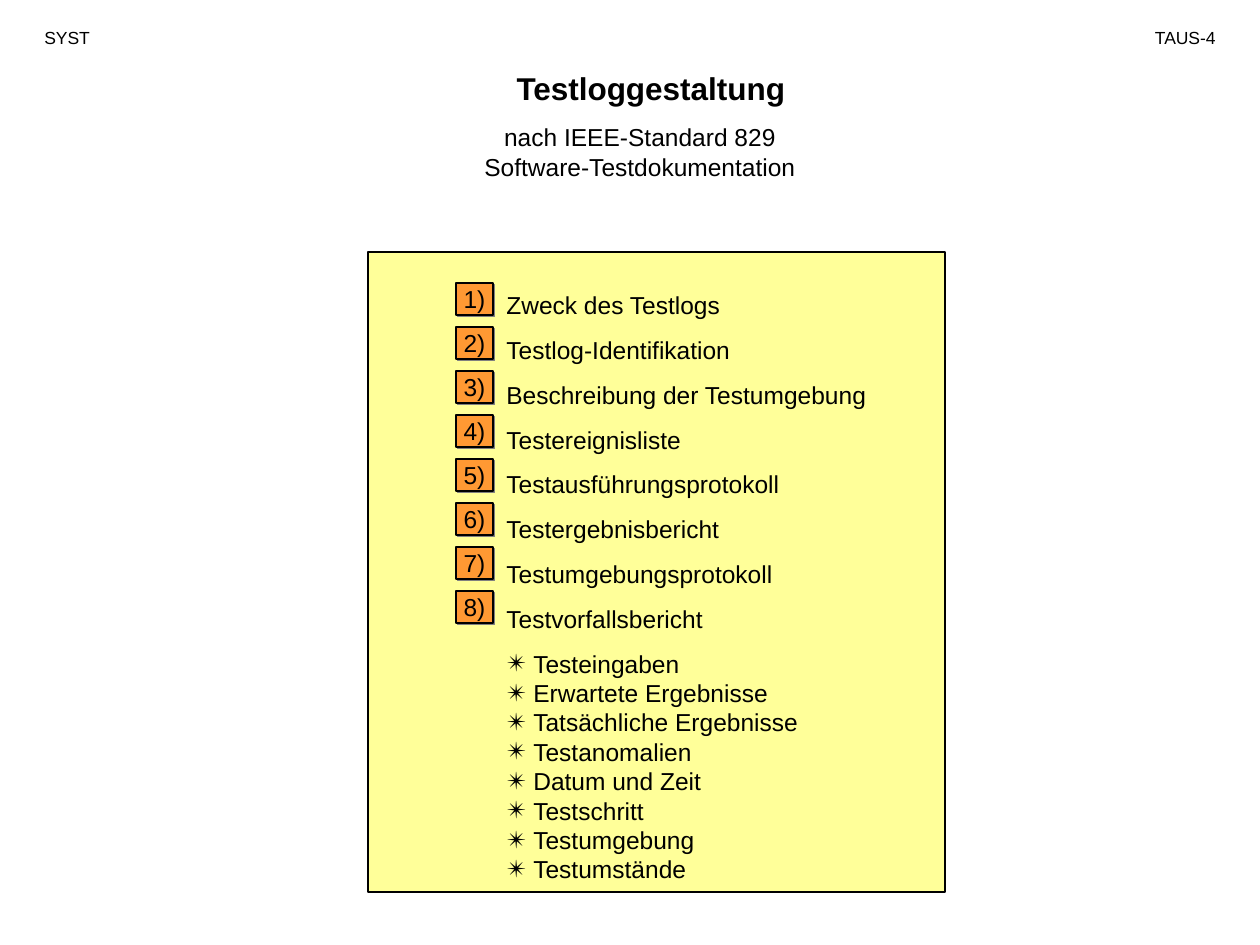
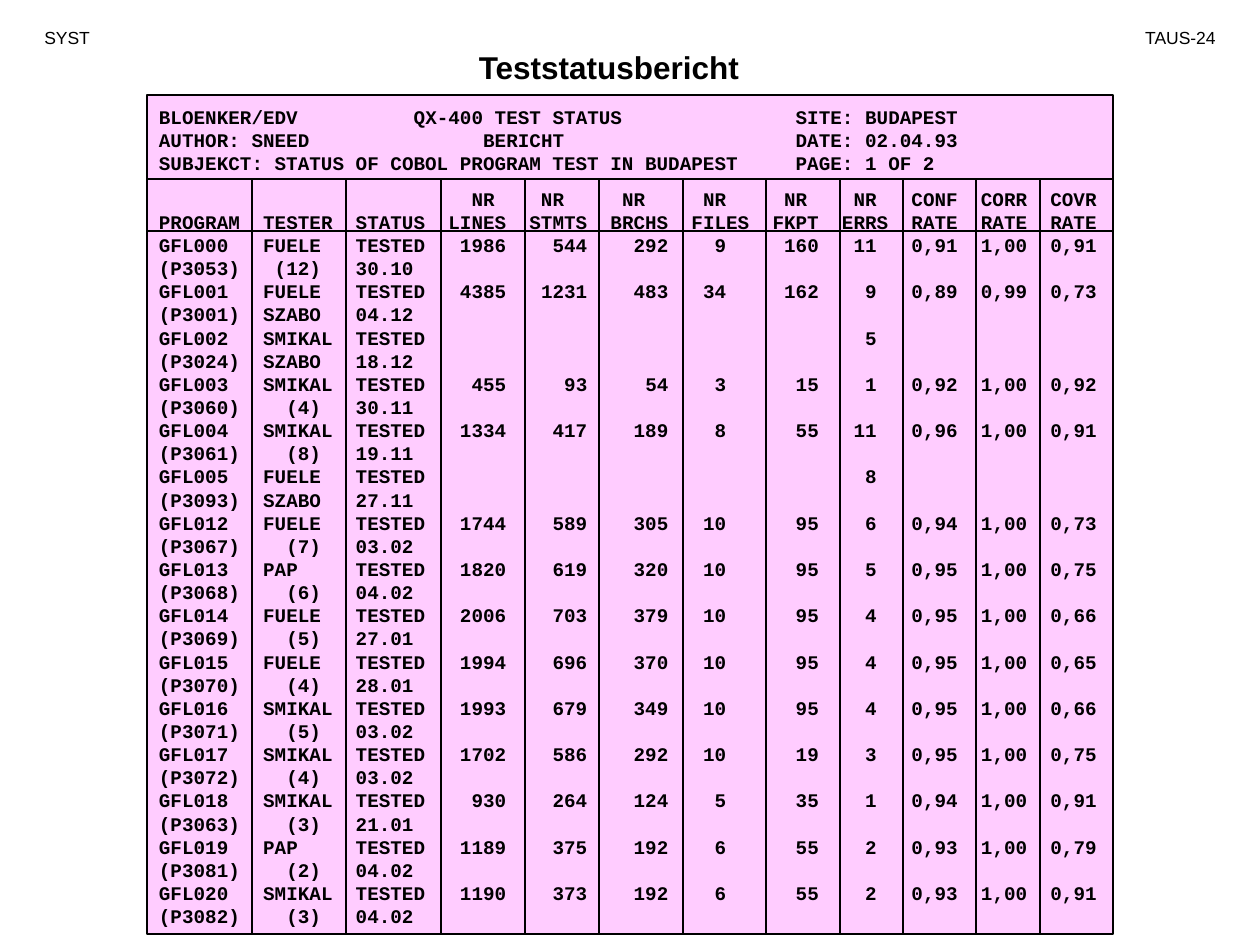
import pptx
import pptx.dml.color
import pptx.enum.shapes
import pptx.enum.text
import pptx.oxml
import pptx.oxml.ns
import pptx.util
from lxml import etree

PX = 914400 / 126
COLORS = {
    "ink": "000000",
    "contents": "FFFF99",
    "badge": "FF9933",
    "badge_shadow": "808080",
    "report": "FFCCFF",
}
SANS, MONO = "Arial", "Courier New"
MONO_SIZE = 11
CHAR = 11.58  # advance of one report character, in px
LEADING = 1.2
RULE_WIDTH = 0.75
NO_GRID_STYLE = "{2D5ABB26-0587-4C30-8999-92F81FD0307C}"
ALIGN = pptx.enum.text.PP_ALIGN

CONTENTS = [
    "Zweck des Testlogs", "Testlog-Identifikation", "Beschreibung der Testumgebung",
    "Testereignisliste", "Testausführungsprotokoll", "Testergebnisbericht",
    "Testumgebungsprotokoll", "Testvorfallsbericht",
]
INCIDENT_PARTS = [
    "Testeingaben", "Erwartete Ergebnisse", "Tatsächliche Ergebnisse", "Testanomalien",
    "Datum und Zeit", "Testschritt", "Testumgebung", "Testumstände",
]

# Banner: left text, character column of the middle text, middle text
BANNER_LEFT = [
    ("BLOENKER/EDV", 22, "QX-400 TEST STATUS"),
    ("AUTHOR: SNEED", 28, "BERICHT"),
    ("SUBJEKCT: STATUS OF COBOL PROGRAM TEST IN BUDAPEST", 0, ""),
]
BANNER_RIGHT = ["SITE: BUDAPEST", "DATE: 02.04.93", "PAGE: 1 OF 2"]
BANNER_SPLIT, BANNER_RIGHT_CHAR = 7, 55

# Left rule in px, upper heading, its indent, lower heading,
# first character of the heading, last character of the figures
COLUMNS = [
    (147, "", 0, "PROGRAM", 0, None),
    (252, "", 0, "TESTER", 9, None),
    (346, "", 0, "STATUS", 17, None),
    (441, "NR", 2, "LINES", 25, 30),
    (525, "NR", 1, "STMTS", 32, 37),
    (599, "NR", 1, "BRCHS", 39, 44),
    (683, "NR", 1, "FILES", 46, 49),
    (766, "NR", 1, "FKPT", 53, 57),
    (840, "NR", 1, "ERRS", 59, 62),
    (903, "CONF", 0, "RATE", 65, 69),
    (976, "CORR", 0, "RATE", 71, 75),
    (1040, "COVR", 0, "RATE", 77, 81),
]
FIRST_FIGURE, ERRS = 3, 8
# Program, number, tester, second tester or count, date, figures (or errors only)
RECORDS = [
    "GFL000 (P3053) FUELE (12) 30.10 1986 544 292 9 160 11 0,91 1,00 0,91",
    "GFL001 (P3001) FUELE SZABO 04.12 4385 1231 483 34 162 9 0,89 0,99 0,73",
    "GFL002 (P3024) SMIKAL SZABO 18.12 5",
    "GFL003 (P3060) SMIKAL (4) 30.11 455 93 54 3 15 1 0,92 1,00 0,92",
    "GFL004 (P3061) SMIKAL (8) 19.11 1334 417 189 8 55 11 0,96 1,00 0,91",
    "GFL005 (P3093) FUELE SZABO 27.11 8",
    "GFL012 (P3067) FUELE (7) 03.02 1744 589 305 10 95 6 0,94 1,00 0,73",
    "GFL013 (P3068) PAP (6) 04.02 1820 619 320 10 95 5 0,95 1,00 0,75",
    "GFL014 (P3069) FUELE (5) 27.01 2006 703 379 10 95 4 0,95 1,00 0,66",
    "GFL015 (P3070) FUELE (4) 28.01 1994 696 370 10 95 4 0,95 1,00 0,65",
    "GFL016 (P3071) SMIKAL (5) 03.02 1993 679 349 10 95 4 0,95 1,00 0,66",
    "GFL017 (P3072) SMIKAL (4) 03.02 1702 586 292 10 19 3 0,95 1,00 0,75",
    "GFL018 (P3063) SMIKAL (3) 21.01 930 264 124 5 35 1 0,94 1,00 0,91",
    "GFL019 (P3081) PAP (2) 04.02 1189 375 192 6 55 2 0,93 1,00 0,79",
    "GFL020 (P3082) SMIKAL (3) 04.02 1190 373 192 6 55 2 0,93 1,00 0,91",
]


def px(*lengths):
    emus = [pptx.util.Emu(round(length * PX)) for length in lengths]
    return emus if len(emus) > 1 else emus[0]


def rgb(name):
    return pptx.dml.color.RGBColor.from_string(COLORS[name])


# Text helpers
def write(paragraph, text, size, font=SANS, bold=False, align=ALIGN.LEFT, before=0):
    paragraph.alignment = align
    paragraph.line_spacing = pptx.util.Pt(round(size * LEADING, 2))
    paragraph.space_before = pptx.util.Pt(before)
    run = paragraph.add_run()
    run.text = text
    run.font.size = pptx.util.Pt(size)
    run.font.name = font
    run.font.bold = bold
    run.font.color.rgb = rgb("ink")


def next_paragraph(frame, index):
    return frame.paragraphs[0] if index == 0 else frame.add_paragraph()


def add_text(slide, box, lines, size, align=ALIGN.LEFT, before=0):
    frame = slide.shapes.add_textbox(*px(*box)).text_frame
    frame.word_wrap = True
    for i, line in enumerate(lines):
        write(next_paragraph(frame, i), line, size, align=align, before=before if i else 0)
    return frame


def add_tab(paragraph, position):
    tabs = etree.SubElement(paragraph._p.get_or_add_pPr(), pptx.oxml.ns.qn("a:tabLst"))
    etree.SubElement(tabs, pptx.oxml.ns.qn("a:tab"), pos=str(px(position)), algn="l")


def indent(paragraph, left, first=0):
    properties = paragraph._p.get_or_add_pPr()
    properties.set("marL", str(px(left)))
    properties.set("indent", str(px(first)))
    return properties


# Shape helpers
def add_panel(slide, box, color):
    panel = slide.shapes.add_shape(pptx.enum.shapes.MSO_SHAPE.RECTANGLE, *px(*box))
    panel.shadow.inherit = False
    panel.fill.solid()
    panel.fill.fore_color.rgb = rgb(color)
    panel.line.color.rgb = rgb("ink")
    panel.line.width = pptx.util.Pt(RULE_WIDTH)
    return panel


def add_rule(slide, x1, y1, x2, y2):
    rule = slide.shapes.add_connector(pptx.enum.shapes.MSO_CONNECTOR.STRAIGHT, *px(x1, y1, x2, y2))
    rule.line.color.rgb = rgb("ink")
    rule.line.width = pptx.util.Pt(RULE_WIDTH)
    etree.SubElement(rule._element.spPr, pptx.oxml.ns.qn("a:effectLst"))


def add_page(deck, title, title_box, page_code):
    slide = deck.slides.add_slide(deck.slide_layouts[5])
    heading = slide.shapes.title
    heading.left, heading.top, heading.width, heading.height = px(*title_box)
    frame = heading.text_frame
    frame.vertical_anchor = pptx.enum.text.MSO_ANCHOR.TOP
    frame.auto_size = pptx.enum.text.MSO_AUTO_SIZE.NONE
    write(frame.paragraphs[0], title, 18, bold=True, align=ALIGN.CENTER)
    add_text(slide, (32, 21, 116, 34), ["SYST"], 10)
    add_text(slide, (1092, 21, 136, 34), [page_code], 10, ALIGN.RIGHT)
    return slide


# Test log contents
def add_badge(slide, box, label):
    badge = add_panel(slide, box, "badge")
    effects = badge._element.spPr.find(pptx.oxml.ns.qn("a:effectLst"))
    shadow = etree.SubElement(effects, pptx.oxml.ns.qn("a:outerShdw"), dist="17780",
                              dir="2700000", algn="tl", rotWithShape="0")
    etree.SubElement(shadow, pptx.oxml.ns.qn("a:srgbClr"), val=COLORS["badge_shadow"])
    frame = badge.text_frame
    frame.word_wrap = False
    frame.vertical_anchor = pptx.enum.text.MSO_ANCHOR.MIDDLE
    write(frame.paragraphs[0], label, 14, align=ALIGN.CENTER)


def add_contents(slide, box):
    left, top, _, _ = box
    add_panel(slide, box, "contents")
    frame = add_text(slide, (left + 126, top + 32, 451, 606), CONTENTS, 14, before=8.8)
    for i, part in enumerate(INCIDENT_PARTS):
        paragraph = frame.add_paragraph()
        properties = indent(paragraph, 27, -27)
        etree.SubElement(properties, pptx.oxml.ns.qn("a:buFont"), typeface=SANS)
        etree.SubElement(properties, pptx.oxml.ns.qn("a:buChar"), char="✴")
        write(paragraph, part, 14, before=0 if i else 8.8)
    for i in range(len(CONTENTS)):
        add_badge(slide, (left + 88, top + 31 + 44 * i, 37, 32), f"{i + 1})")


# Test status report
def char_x(index):
    return 12 + CHAR * index


def fill_banner(table, starts):
    left = table.cell(0, 0)
    left.merge(table.cell(0, BANNER_SPLIT - 1))
    left.margin_left = px(char_x(0))
    for i, (text, middle_char, middle) in enumerate(BANNER_LEFT):
        paragraph = next_paragraph(left.text_frame, i)
        if middle:
            add_tab(paragraph, CHAR * middle_char)
            text += "\t" + middle
        write(paragraph, text, MONO_SIZE, MONO, True)
    right = table.cell(0, BANNER_SPLIT)
    right.merge(table.cell(0, len(COLUMNS) - 1))
    right.margin_left = px(char_x(BANNER_RIGHT_CHAR) - starts[BANNER_SPLIT])
    for i, text in enumerate(BANNER_RIGHT):
        write(next_paragraph(right.text_frame, i), text, MONO_SIZE, MONO, True)


def fill_headings(table, starts):
    for c, (_, upper, upper_indent, lower, first_char, _) in enumerate(COLUMNS):
        cell = table.cell(1, c)
        cell.margin_left = px(char_x(first_char) - starts[c])
        cell.vertical_anchor = pptx.enum.text.MSO_ANCHOR.BOTTOM
        for i, text in enumerate(filter(None, (upper, lower))):
            paragraph = next_paragraph(cell.text_frame, i)
            if text == upper:
                indent(paragraph, CHAR * upper_indent)
            write(paragraph, text, MONO_SIZE, MONO, True)


def fill_record(table, row, record, starts):
    program, number, tester, second, date, *figures = record.split()
    for c, lines in enumerate([(program, number), (tester, second), ("TESTED", date)]):
        cell = table.cell(row, c)
        cell.margin_left = px(char_x(COLUMNS[c][4]) - starts[c])
        for i, text in enumerate(lines):
            paragraph = next_paragraph(cell.text_frame, i)
            if c == 1 and text.startswith("("):
                indent(paragraph, CHAR * (5 - len(text)))
            write(paragraph, text, MONO_SIZE, MONO, True)
    first = ERRS if len(figures) == 1 else FIRST_FIGURE
    for c, figure in enumerate(figures, first):
        cell = table.cell(row, c)
        cell.margin_right = px(starts[c + 1] - char_x(COLUMNS[c][5]))
        write(cell.text_frame.paragraphs[0], figure, MONO_SIZE, MONO, True, ALIGN.RIGHT)


def add_report(slide, box):
    left, top, width, height = box
    bottom = top + height
    add_panel(slide, box, "report")
    starts = [column[0] - left for column in COLUMNS] + [width]

    banner_height, rows_height = 82, 740
    row_count = len(RECORDS) + 2
    frame = slide.shapes.add_table(row_count, len(COLUMNS), *px(
        left, top + 12, width, banner_height + rows_height))
    table = frame.table
    table.first_row = table.horz_banding = False
    table._tbl.tblPr.find(pptx.oxml.ns.qn("a:tableStyleId")).text = NO_GRID_STYLE
    for c, column in enumerate(table.columns):
        column.width = px(starts[c + 1] - starts[c])
    for r, row in enumerate(table.rows):
        row.height = px(rows_height / (row_count - 1) if r else banner_height)
        for cell in row.cells:
            cell.fill.background()
            cell.margin_left = cell.margin_right = cell.margin_top = cell.margin_bottom = 0
    fill_banner(table, starts)
    fill_headings(table, starts)
    for r, record in enumerate(RECORDS, 2):
        fill_record(table, r, record, starts)

    # Rules under banner and headings, then between columns
    banner_rule = top + 84
    for y in (banner_rule, top + 136):
        add_rule(slide, left, y, left + width, y)
    for start in starts[1:-1]:
        add_rule(slide, left + start, banner_rule, left + start, bottom)


def main():
    deck = pptx.Presentation()
    deck.slide_width, deck.slide_height = px(1260, 945)

    log_page = add_page(deck, "Testloggestaltung", (273, 63, 756, 50), "TAUS-4")
    add_text(log_page, (451, 116, 378, 72),
             ["nach IEEE-Standard 829", "Software-Testdokumentation"], 14, ALIGN.CENTER)
    add_contents(log_page, (368, 252, 577, 640))

    status_page = add_page(deck, "Teststatusbericht", (94, 42, 1030, 50), "TAUS-24")
    add_report(status_page, (147, 95, 966, 839))
    deck.save("out.pptx")


if __name__ == "__main__":
    main()
